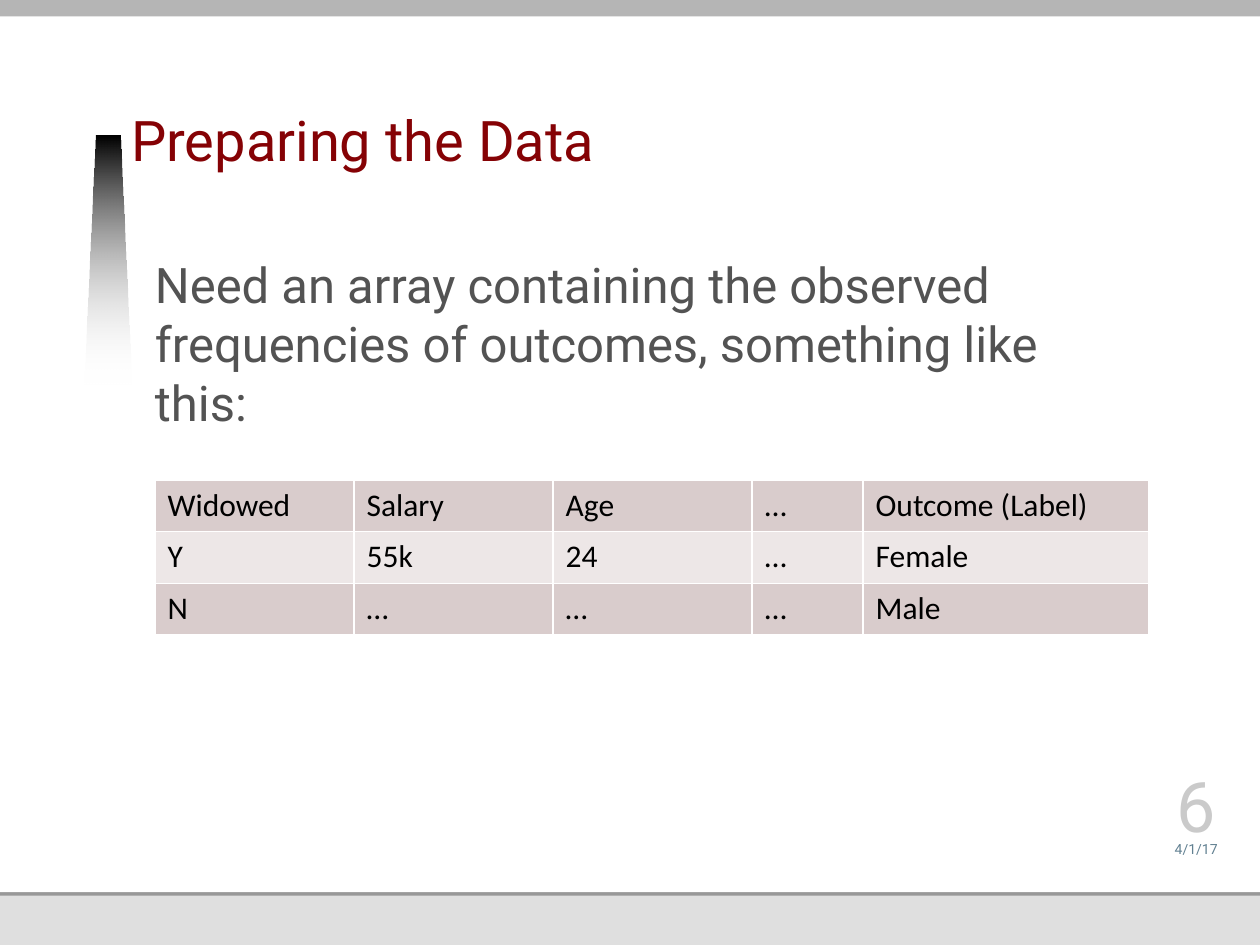
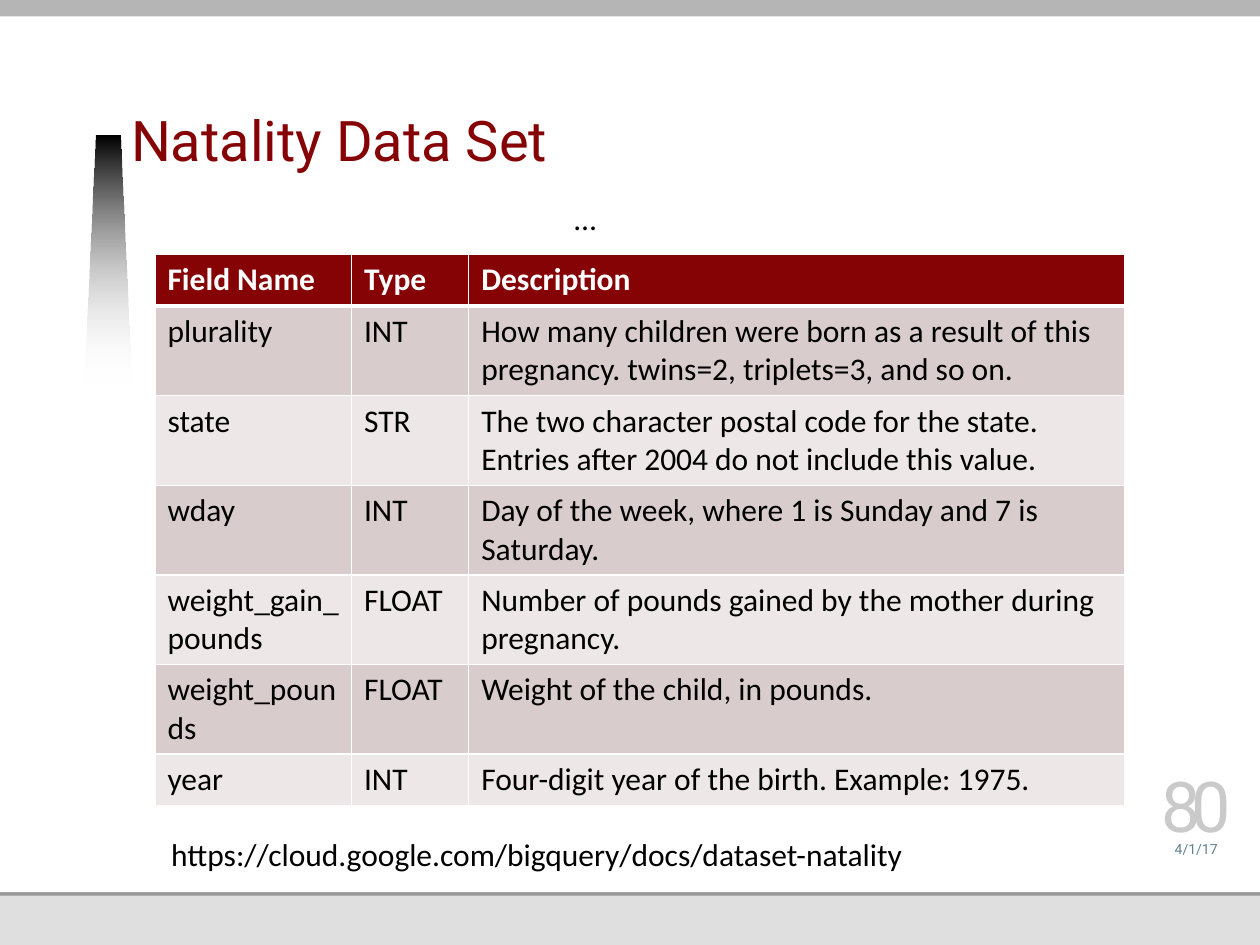
from lxml.etree import SubElement
from pptx import Presentation
from pptx.dml.color import RGBColor
from pptx.enum.shapes import MSO_SHAPE
from pptx.enum.text import MSO_ANCHOR, MSO_AUTO_SIZE, PP_ALIGN
from pptx.oxml.ns import qn
from pptx.util import Inches, Pt

COLOURS = {
    "accent": "850205", "body": "535353", "black": "000000", "white": "FFFFFF",
    "date": "618091", "number": "CACACA", "footer": "DFDFDF", "rule": "989898",
    "top": "B5B5B5", "dark row": "D9CCCC", "light row": "EDE7E7",
}
COLOURS = {name: RGBColor.from_string(value) for name, value in COLOURS.items()}
HEADING_FONT, TABLE_FONT = "Roboto", "Calibri"
TITLE_AND_BODY, TITLE_ONLY = 1, 5
ROW_HEIGHT = 4.1

presentation = Presentation()
presentation.slide_width, presentation.slide_height = Inches(10), Inches(7.5)
UNIT = presentation.slide_width // 100


def grid(*steps):
    """Turn steps on the grid of 100 columns and 75 rows into lengths."""
    return [round(step * UNIT) for step in steps]


def write(paragraph, text, font, size, colour, bold=False):
    run = paragraph.add_run()
    run.text = text
    run.font.name, run.font.size, run.font.bold = font, Pt(size), bold
    run.font.color.rgb = COLOURS[colour]
    return run


slides = [
    {
        "layout": TITLE_AND_BODY,
        "title": "Preparing the Data",
        "number": "6",
        "body": "Need an array containing the observed frequencies of outcomes, "
                "something like this:",
        "table top": 38.1,
        "columns": [15.8, 15.8, 15.8, 8.8, 22.7],
        "header": False,
        "rows": [
            ["Widowed", "Salary", "Age", "…", "Outcome (Label)"],
            ["Y", "55k", "24", "…", "Female"],
            ["N", "…", "…", "…", "Male"],
        ],
        "labels": [],
    },
    {
        "layout": TITLE_ONLY,
        "title": "Natality Data Set",
        "number": "80",
        "table top": 20.2,
        "columns": [15.6, 9.3, 52.1],
        "header": True,
        "rows": [
            ["Field Name", "Type", "Description"],
            ["plurality", "INT", "How many children were born as a result of this "
             "pregnancy. twins=2, triplets=3, and so on."],
            ["state", "STR", "The two character postal code for the state. "
             "Entries after 2004 do not include this value."],
            ["wday", "INT", "Day of the week, where 1 is Sunday and 7 is Saturday."],
            ["weight_gain_pounds", "FLOAT",
             "Number of pounds gained by the mother during pregnancy."],
            ["weight_pounds", "FLOAT", "Weight of the child, in pounds."],
            ["year", "INT", "Four-digit year of the birth. Example: 1975."],
        ],
        "labels": [
            ("…", (44.6, 15.3, 3.8, 4)),
            ("https://cloud.google.com/bigquery/docs/dataset-natality",
             (12.6, 65.8, 60.9, 4)),
        ],
    },
]

for content in slides:
    slide = presentation.slides.add_slide(
        presentation.slide_layouts[content["layout"]])

    title = slide.shapes.title
    title.left, title.top, title.width, title.height = grid(10.4, 3.4, 68.7, 10.8)
    title.text_frame.vertical_anchor = MSO_ANCHOR.BOTTOM
    frames = [title.text_frame]
    paragraph = title.text_frame.paragraphs[0]
    paragraph.alignment = PP_ALIGN.LEFT
    paragraph.line_spacing = Pt(34)
    write(paragraph, content["title"], HEADING_FONT, 32, "accent")

    if "body" in content:
        body = slide.placeholders[1]
        body.left, body.top, body.width, body.height = grid(12.3, 20.2, 77.1, 47.9)
        frames.append(body.text_frame)
        paragraph = body.text_frame.paragraphs[0]
        properties = paragraph._p.get_or_add_pPr()
        properties.set("marL", "0")
        properties.set("indent", "0")
        SubElement(properties, qn("a:buNone"))
        paragraph.space_before, paragraph.space_after = Pt(0), Pt(8)
        write(paragraph, content["body"], HEADING_FONT, 28, "body")

    for frame in frames:
        frame.auto_size = MSO_AUTO_SIZE.NONE
        frame.margin_left = frame.margin_right = frame.margin_top = 0
        frame.margin_bottom = Inches(0.05)

    rows, columns = content["rows"], content["columns"]
    table = slide.shapes.add_table(
        len(rows), len(columns),
        *grid(12.3, content["table top"], sum(columns), ROW_HEIGHT * len(rows))).table
    table.first_row = content["header"]
    for column, width in zip(table.columns, grid(*columns)):
        column.width = width
    for row_index, row in enumerate(rows):
        is_header = content["header"] and row_index == 0
        below_header = content["header"] and row_index == 1
        dark = row_index % 2 == int(content["header"])
        fill = "accent" if is_header else "dark row" if dark else "light row"
        for column_index, text in enumerate(row):
            cell = table.cell(row_index, column_index)
            cell_properties = cell._tc.get_or_add_tcPr()
            for side in "LRTB":
                thick = (is_header and side == "B") or (below_header and side == "T")
                border = SubElement(cell_properties, qn(f"a:ln{side}"),
                                    w=str(Pt(3 if thick else 1)))
                solid = SubElement(border, qn("a:solidFill"))
                SubElement(solid, qn("a:srgbClr"), val=str(COLOURS["white"]))
            cell.fill.solid()
            cell.fill.fore_color.rgb = COLOURS[fill]
            write(cell.text_frame.paragraphs[0], text, TABLE_FONT, 18,
                  "white" if is_header else "black", is_header)

    for text, size, colour, spacing, place in [
        ("4/1/17", 8, "date", 0, (91.3, 65.8, 7.3, 2.2)),
        (content["number"], 40, "number", -5, (91.3, 61.6, 7.3, 5.6)),
    ]:
        frame = slide.shapes.add_textbox(*grid(*place)).text_frame
        frame.word_wrap = True
        frame.vertical_anchor = MSO_ANCHOR.BOTTOM
        frame.margin_left = frame.margin_right = 0
        frame.margin_top = frame.margin_bottom = 0
        paragraph = frame.paragraphs[0]
        paragraph.alignment = PP_ALIGN.CENTER
        run = write(paragraph, text, HEADING_FONT, size, colour)
        if spacing:
            run._r.get_or_add_rPr().set("spc", str(spacing * 100))

    for text, place in content["labels"]:
        frame = slide.shapes.add_textbox(*grid(*place)).text_frame
        frame.word_wrap = False
        frame.auto_size = MSO_AUTO_SIZE.SHAPE_TO_FIT_TEXT
        write(frame.paragraphs[0], text, TABLE_FONT, 18, "black")

# Bands and wedge are drawn on a slide, then moved to the master that all slides share
shapes = presentation.slides[0].shapes
decorations = []
for colour, place in [
    ("footer", (0, 0, 100, 75)),
    ("rule", (0, 17.8, 100, 53.3)),
    ("white", (0, 0, 100, 70.8)),
    ("top", (0, 0, 100, 1.3)),
]:
    band = shapes.add_shape(MSO_SHAPE.RECTANGLE, *grid(*place))
    band.fill.solid()
    band.fill.fore_color.rgb = COLOURS[colour]
    decorations.append(band)

builder = shapes.build_freeform(*grid(6.7, 30.5))
builder.add_line_segments([grid(7.6, 10.8), grid(9.5, 10.8), grid(10.4, 30.5)])
wedge = builder.convert_to_shape()
wedge.fill.gradient()
wedge.fill.gradient_angle = 270
for stop, colour in zip(wedge.fill.gradient_stops, ["black", "white"]):
    stop.color.rgb = COLOURS[colour]
faded_end = wedge.element.findall(".//" + qn("a:srgbClr"))[-1]
SubElement(faded_end, qn("a:alpha"), val="0")
decorations.append(wedge)

master_tree = presentation.slide_master.shapes.element
for index, shape in enumerate(decorations):
    shape.line.fill.background()
    shape.shadow.inherit = False
    shape.element.find(".//" + qn("p:cNvPr")).set("id", str(100 + index))
    master_tree.insert(2 + index, shape.element)

presentation.save("out.pptx")
